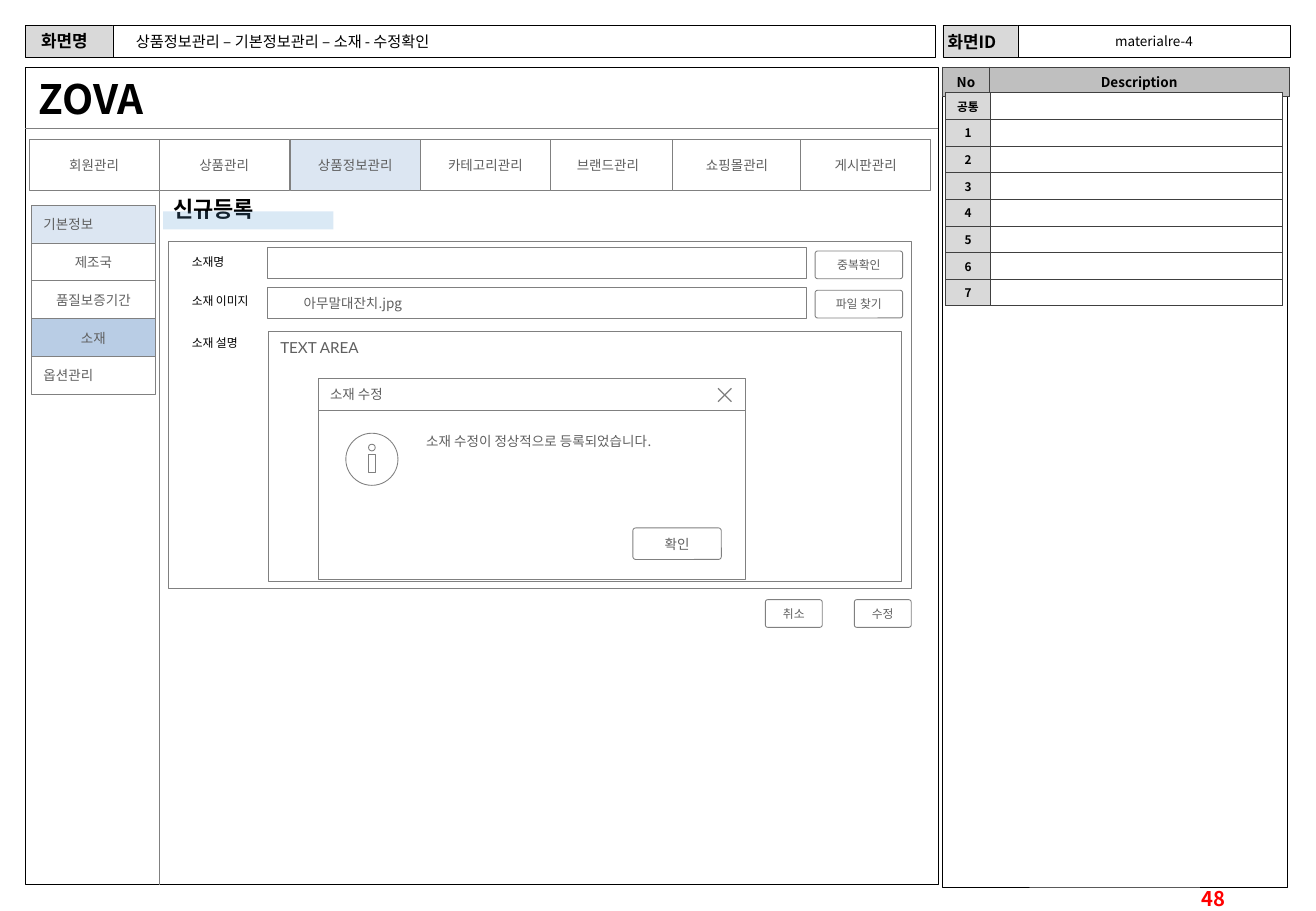
from lxml import etree
from pptx import Presentation
from pptx.dml.color import RGBColor
from pptx.enum.shapes import MSO_CONNECTOR, MSO_SHAPE
from pptx.enum.text import MSO_ANCHOR, PP_ALIGN
from pptx.oxml.ns import qn
from pptx.util import Cm, Pt

RECT, ROUND, OVAL = MSO_SHAPE.RECTANGLE, MSO_SHAPE.ROUNDED_RECTANGLE, MSO_SHAPE.OVAL
LEFT, CENTER, RIGHT = PP_ALIGN.LEFT, PP_ALIGN.CENTER, PP_ALIGN.RIGHT
TOP, MIDDLE = MSO_ANCHOR.TOP, MSO_ANCHOR.MIDDLE
KOREAN = "Noto Sans CJK KR"
BLACK, WHITE, GRAY, INK = "000000", "FFFFFF", "808080", "5F5F5F"
LABEL, HEADER, BORDER = "D9D9D9", "BFBFBF", "404040"
PALE_BLUE, BLUE = "DCE6F2", "B9CDE5"


def rgb(color):
    return RGBColor.from_string(color)


def apply(target, values):
    for name, value in values.items():
        setattr(target, name, value)


def set_text(tf, text, size=8, color=INK, bold=False, align=CENTER,
             anchor=MIDDLE, margins=(0.25, 0.13, 0.25, 0.13), font=KOREAN):
    left, top, right, bottom = map(Cm, margins)
    apply(tf, {"word_wrap": True, "vertical_anchor": anchor, "margin_left": left,
               "margin_top": top, "margin_right": right, "margin_bottom": bottom})
    p = tf.paragraphs[0]
    apply(p, {"alignment": align, "space_before": Pt(0)})
    if not text:
        p._p.get_or_add_endParaRPr().set("sz", str(size * 100))
        return
    r = p.add_run()
    r.text = text
    apply(r.font, {"size": Pt(size), "bold": bold, "name": font})
    r.font.color.rgb = rgb(color)
    etree.SubElement(r.font._element, qn("a:ea"), typeface=font)


def add_box(s, x, y, w, h, text="", fill=WHITE, line=GRAY, width=0.5, kind=RECT, **fmt):
    sp = s.shapes.add_shape(kind, Cm(x), Cm(y), Cm(w), Cm(h))
    sp.shadow.inherit = False
    if fill:
        sp.fill.solid()
        sp.fill.fore_color.rgb = rgb(fill)
    else:
        sp.fill.background()
    if line:
        sp.line.color.rgb = rgb(line)
        sp.line.width = Pt(width)
    else:
        sp.line.fill.background()
    if kind == ROUND:
        sp.adjustments[0] = 0.09
    if text:
        set_text(sp.text_frame, text, **fmt)
    return sp


def add_label(s, x, y, w, h, text, **fmt):
    sp = s.shapes.add_textbox(Cm(x), Cm(y), Cm(w), Cm(h))
    set_text(sp.text_frame, text, **{"color": BLACK, "align": LEFT, "anchor": TOP, **fmt})


def add_line(s, x1, y1, x2, y2, width=0.5):
    line = s.shapes.add_connector(MSO_CONNECTOR.STRAIGHT, Cm(x1), Cm(y1), Cm(x2), Cm(y2))
    line.line.color.rgb = rgb(GRAY)
    line.line.width = Pt(width)
    etree.SubElement(line._element.spPr, qn("a:effectLst"))


def add_grid(s, x, y, widths, row_height, rows, fills, size):
    table = s.shapes.add_table(len(rows), len(widths), Cm(x), Cm(y), Cm(sum(widths)),
                               Cm(row_height * len(rows))).table
    apply(table, {"first_row": False, "horz_banding": False})
    for column, width in zip(table.columns, widths):
        column.width = Cm(width)
    for i, row in enumerate(rows):
        table.rows[i].height = Cm(row_height)
        for j, text in enumerate(row):
            cell = table.cell(i, j)
            set_text(cell.text_frame, text, size, BLACK, True)
            apply(cell, {"vertical_anchor": MIDDLE, "margin_left": Cm(0.1), "margin_top": Cm(0.1),
                         "margin_right": Cm(0.1), "margin_bottom": Cm(0.1)})
            tc_pr = cell._tc.get_or_add_tcPr()
            for side in ("lnL", "lnR", "lnT", "lnB"):
                ln = etree.SubElement(tc_pr, qn(f"a:{side}"), w=str(Pt(0.5)))
                solid = etree.SubElement(ln, qn("a:solidFill"))
                etree.SubElement(solid, qn("a:srgbClr"), val=BORDER)
            cell.fill.solid()
            cell.fill.fore_color.rgb = rgb(fills[j])


def fill_placeholder(ph, x, y, w, h, text, **fmt):
    apply(ph, {"left": Cm(x), "top": Cm(y), "width": Cm(w), "height": Cm(h)})
    p_pr = ph.text_frame.paragraphs[0]._p.get_or_add_pPr()
    p_pr.set("marL", "0")
    p_pr.set("indent", "0")
    etree.SubElement(p_pr, qn("a:buNone"))
    set_text(ph.text_frame, text, color=BLACK, **fmt)
    ph.element.getparent().append(ph.element)  # bring in front of the frames


def header_bar(s, x, y, h):
    frame = {"line": BLACK, "width": 0.25}
    for dx, w, fill in ((0, 1.83, LABEL), (1.83, 17.2, WHITE),
                        (19.18, 1.57, LABEL), (20.75, 5.69, WHITE)):
        add_box(s, x + dx, y, w, h, fill=fill, **frame)
    add_label(s, x + 0.08, y - 0.02, 1.75, 0.69, "화면명", size=10, bold=True)
    add_label(s, x + 19.03, y, 2.59, 0.69, "화면ID", size=10, bold=True)
    fill_placeholder(s.shapes.title, x + 2.06, y + 0.05, 16.76, 0.58,
                     "상품정보관리 – 기본정보관리 – 소재 - 수정확인", size=9, align=LEFT)
    fill_placeholder(s.placeholders[1], x + 20.75, y, 5.69, h, "materialre-4")


def description_panel(s, x, y, w, h):
    add_box(s, x, y, w, h, line=BLACK, width=0.25)
    add_grid(s, x + 0.02, y, (0.97, 6.27), 0.54, [("No", "Description")], (HEADER, HEADER), 8)
    rows = [(name, "") for name in ("공통", *map(str, range(1, 8)))]
    add_grid(s, x + 0.08, y + 0.54, (0.93, 6.1), 0.55, rows, (LABEL, WHITE), 7)


def screen_frame(s, x, y, w, h):
    add_box(s, x, y, w, h, line=BLACK, width=0.25)
    add_label(s, x + 0.03, y + 0.02, 3.68, 1.27, "ZOVA", size=24, bold=True)
    add_line(s, x, y + 1.29, x + w, y + 1.29)
    add_line(s, x + 2.8, y + 2.59, x + 2.8, y + h)


def top_menu(s, x, y, h):
    # Later tabs overlap earlier ones
    for dx, name in ((0, "회원관리"), (2.72, "상품관리"), (10.74, "브랜드관리"),
                     (13.44, "쇼핑몰관리"), (8.18, "카테고리관리"),
                     (16.13, "게시판관리"), (5.46, "상품정보관리")):
        add_box(s, x + dx, y, 2.72, h, name, PALE_BLUE if name == "상품정보관리" else WHITE)


def side_menu(s, x, y, w, h):
    items = (("기본정보", PALE_BLUE, LEFT), ("제조국", WHITE, CENTER),
             ("품질보증기간", WHITE, CENTER), ("소재", BLUE, CENTER), ("옵션관리", WHITE, LEFT))
    step = h / len(items)
    for i, (name, fill, align) in enumerate(items):
        add_box(s, x, y + i * step, w, step, name, fill, align=align)


def section_heading(s, x, y):
    add_label(s, x, y, 3.48, 0.81, "신규등록", size=13, bold=True)
    bar = add_box(s, x + 0.03, y + 0.46, 3.56, 0.38, fill="5B9BD5", line=None)
    color = bar._element.spPr.find(f".//{qn('a:srgbClr')}")
    etree.SubElement(color, qn("a:alpha"), val="22000")


def material_form(s, x, y, w, h):
    add_box(s, x, y, w, h)
    for dy, name in ((0.15, "소재명"), (0.97, "소재 이미지"), (1.85, "소재 설명")):
        add_label(s, x + 0.23, y + dy, 1.8, 0.56, name, size=7)
    for dy, value in ((0.13, ""), (0.97, "아무말대잔치.jpg")):
        add_box(s, x + 2.06, y + dy, 11.28, 0.64, value, align=LEFT,
                margins=(0.76, 0.15, 0.25, 0.15))
    add_box(s, x + 2.08, y + 1.88, 13.23, 5.23, "TEXT AREA", size=9, font="Lato",
            align=LEFT, anchor=TOP, margins=(0.25, 0.15, 0.25, 0.15))
    for dx, dy, bw, name in ((13.51, 0.2, 1.83, "중복확인"), (13.51, 1.02, 1.83, "파일 찾기"),
                             (12.47, 7.49, 1.19, "취소"), (14.33, 7.49, 1.19, "수정")):
        add_box(s, x + dx, y + dy, bw, 0.58, name, kind=ROUND, size=7)


def confirm_dialog(s, x, y, w, h):
    bar = 0.66
    add_box(s, x, y + bar, w, h - bar)
    add_label(s, x + 2.06, y + 1.04, 6.88, 1.9, "소재 수정이 정상적으로 등록되었습니다.",
              color=INK, margins=(0.2, 0.1, 0.2, 0.1))
    add_box(s, x, y, w, bar, "소재 수정", align=LEFT, margins=(0.25, 0.13, 0.64, 0.13))
    # Close mark
    cx, cy, size = x + 8.36, y + 0.2, 0.28
    add_line(s, cx, cy, cx + size, cy + size, 0.75)
    add_line(s, cx, cy + size, cx + size, cy, 0.75)
    # Information icon
    ix, iy, ring, stem = x + 0.58, y + 1.14, 1.09, 0.14
    add_box(s, ix, iy, ring, ring, fill=None, kind=OVAL)
    mid = ix + (ring - stem) / 2
    add_box(s, mid, iy + 0.23, stem, stem, fill=None, kind=OVAL)
    add_box(s, mid, iy + 0.45, stem, 0.38, fill=None)
    add_box(s, x + 6.58, y + 3.12, 1.85, 0.66, "확인", kind=ROUND)


def main():
    prs = Presentation()
    apply(prs, {"slide_width": Cm(27.51), "slide_height": Cm(19.05)})
    s = prs.slides.add_slide(prs.slide_layouts[1])
    header_bar(s, 0.53, 0.53, 0.66)
    description_panel(s, 19.69, 1.4, 7.21, 17.15)
    screen_frame(s, 0.53, 1.4, 19.08, 17.1)
    top_menu(s, 0.61, 2.92, 1.07)
    side_menu(s, 0.66, 4.29, 2.59, 3.96)
    section_heading(s, 3.38, 3.96)
    material_form(s, 3.53, 5.05, 15.52, 7.26)
    confirm_dialog(s, 6.65, 7.92, 8.94, 4.19)
    # Page number
    add_label(s, 24.41, 18.52, 1.45, 0.53, "48", size=12, color="FF0000", bold=True,
              align=RIGHT, anchor=MIDDLE)
    prs.save("out.pptx")


if __name__ == "__main__":
    main()
